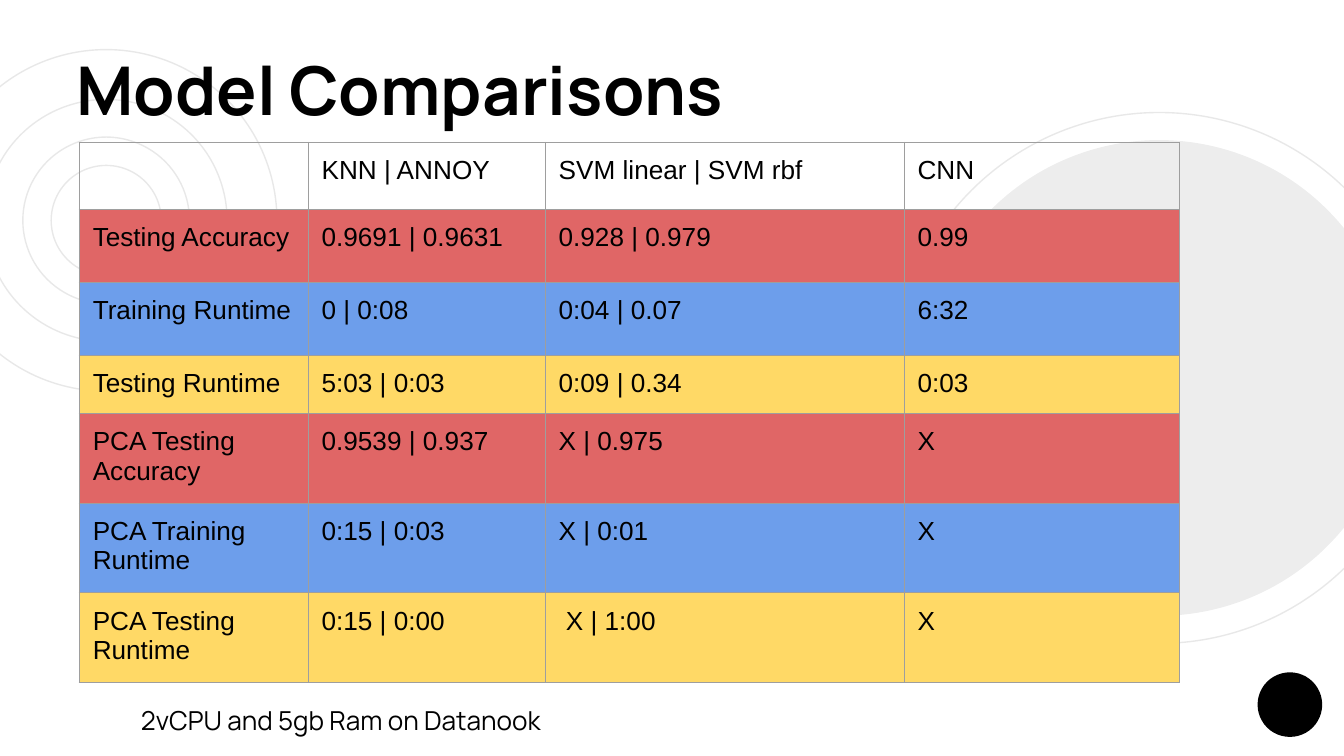
from dataclasses import dataclass

from lxml.etree import SubElement
from pptx import Presentation
from pptx.dml.color import RGBColor as Color
from pptx.enum.shapes import MSO_SHAPE as Shape
from pptx.enum.text import MSO_ANCHOR as Anchor
from pptx.oxml.ns import qn
from pptx.util import Pt


@dataclass(frozen=True)
class Theme:
    """Colours, fonts and type sizes."""
    ink: str = "000000"
    ring: str = "E8E8E8"
    border: str = "9E9E9E"
    red: str = "E06666"
    blue: str = "6D9EEB"
    yellow: str = "FFD966"
    heading_font: str = "Manrope"
    table_font: str = "Arial"
    title_size: float = 36
    body_size: float = 14
    hairline: float = 0.75
    inset: float = 7.2


def write(frame, text, *, font, size, color, bold=False, anchor=Anchor.TOP):
    """Put formatted text into a text frame."""
    frame.word_wrap = True
    frame.vertical_anchor = anchor
    paragraph = frame.paragraphs[0]
    run = paragraph.add_run()
    run.text = text
    run.font.name = font
    run.font.size = Pt(size)
    run.font.bold = bold
    run.font.color.rgb = Color.from_string(color)


class SlideBuilder:
    """Draws elements on one slide in one theme."""

    def __init__(self, slide, theme):
        """Keep the slide and its theme."""
        self.slide = slide
        self.theme = theme

    def circle(self, center, diameter, fill=None, line=None, alpha=None):
        """Add a circle around a center point."""
        left, top = (value - diameter / 2 for value in center)
        shape = self.slide.shapes.add_shape(
            Shape.OVAL, Pt(left), Pt(top), Pt(diameter), Pt(diameter))
        shape.shadow.inherit = False
        if fill:
            shape.fill.solid()
            shape.fill.fore_color.rgb = Color.from_string(fill)
        else:
            shape.fill.background()
        if alpha:
            color = shape.fill._xPr.find(qn("a:solidFill"))[0]
            SubElement(color, qn("a:alpha"), val=str(alpha * 1000))
        if line:
            shape.line.color.rgb = Color.from_string(line)
            shape.line.width = Pt(self.theme.hairline)
        else:
            shape.line.fill.background()

    def text(self, text, left, top, width, height, **style):
        """Add a text box with equal insets."""
        box = self.slide.shapes.add_textbox(Pt(left), Pt(top), Pt(width), Pt(height))
        frame = box.text_frame
        frame.margin_left = frame.margin_right = Pt(self.theme.inset)
        frame.margin_top = frame.margin_bottom = Pt(self.theme.inset)
        write(frame, text, font=self.theme.heading_font, color=self.theme.ink, **style)

    def table(self, rows, fills, left, top, widths, heights):
        """Add a bordered table with one fill per row."""
        table = self.slide.shapes.add_table(
            len(rows), len(widths), Pt(left), Pt(top),
            Pt(sum(widths)), Pt(sum(heights))).table
        table.first_row = table.horz_banding = False
        for column, width in zip(table.columns, widths):
            column.width = Pt(width)
        for row, height, texts, fill in zip(table.rows, heights, rows, fills):
            row.height = Pt(height)
            for cell, text in zip(row.cells, texts):
                self.cell(cell, text, fill)

    def cell(self, cell, text, fill):
        """Style and fill in one table cell."""
        theme = self.theme
        cell.margin_left = cell.margin_right = Pt(theme.inset)
        cell.margin_top = cell.margin_bottom = Pt(theme.inset)
        properties = cell._tc.get_or_add_tcPr()
        for side in ("a:lnL", "a:lnR", "a:lnT", "a:lnB"):
            edge = SubElement(properties, qn(side), w=str(Pt(theme.hairline)))
            SubElement(SubElement(edge, qn("a:solidFill")),
                       qn("a:srgbClr"), val=theme.border)
        if fill:
            cell.fill.solid()
            cell.fill.fore_color.rgb = Color.from_string(fill)
        else:
            cell.fill.background()
        if text:
            write(cell.text_frame, text, font=theme.table_font,
                  size=theme.body_size, color=theme.ink)


def main():
    """Build and save the model comparison slide."""
    theme = Theme()
    presentation = Presentation()
    presentation.slide_width, presentation.slide_height = Pt(720), Pt(405)
    slide = presentation.slides.add_slide(presentation.slide_layouts[6])
    builder = SlideBuilder(slide, theme)

    disc_center = (621, 202.5)
    builder.circle(disc_center, 284.4, line=theme.ring)
    for diameter in (183, 129.6, 89.3, 59):
        builder.circle((56.9, 118.1), diameter, line=theme.ring)
    builder.circle((691, 377.5), 34.6, fill=theme.ink)
    builder.circle(disc_center, 254.9, fill=theme.ink, alpha=7)

    builder.text("Model Comparisons", 33.8, 22.3, 411, 54,
                 size=theme.title_size, bold=True, anchor=Anchor.BOTTOM)
    rows = [
        ("", "KNN | ANNOY", "SVM linear | SVM rbf", "CNN"),
        ("Testing Accuracy", "0.9691 | 0.9631", "0.928 | 0.979", "0.99"),
        ("Training Runtime", "0 | 0:08", "0:04 | 0.07", "6:32"),
        ("Testing Runtime", "5:03 | 0:03", "0:09 | 0.34", "0:03"),
        ("PCA Testing Accuracy", "0.9539 | 0.937", "X | 0.975", "X"),
        ("PCA Training Runtime", "0:15 | 0:03", "X | 0:01", "X"),
        ("PCA Testing Runtime", "0:15 | 0:00", " X | 1:00", "X"),
    ]
    fills = [None] + [theme.red, theme.blue, theme.yellow] * 2
    builder.table(rows, fills, 42.5, 76.3, widths=(122.6, 127, 192.3, 147.6),
                  heights=(34.6, 39, 39, 30, 46, 46, 46))
    builder.text("2vCPU and 5gb Ram on Datanook", 68.4, 370, 576.7, 31.7,
                 size=theme.body_size)
    presentation.save("out.pptx")


if __name__ == "__main__":
    main()
